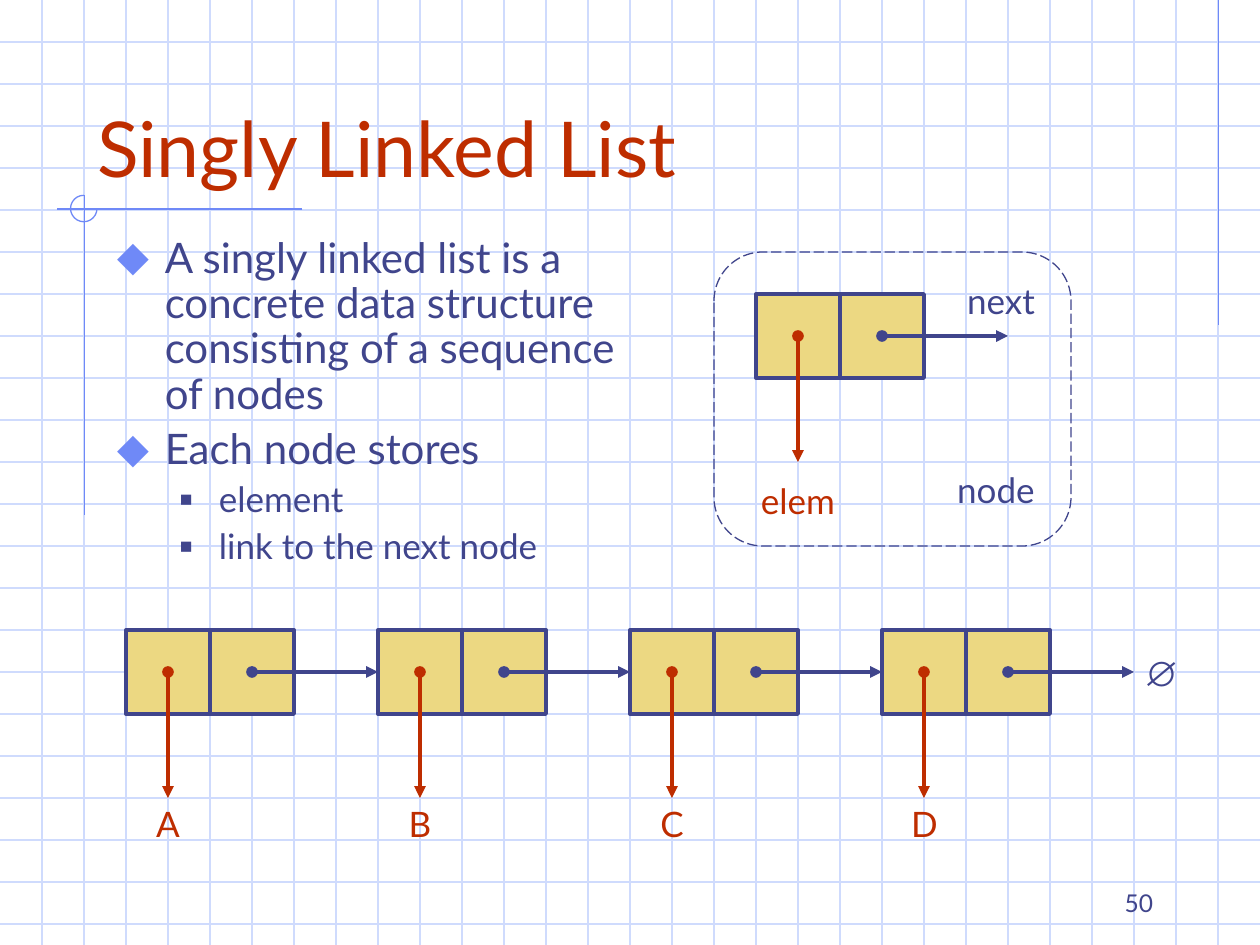
from lxml.etree import SubElement
from pptx import Presentation
from pptx.dml.color import RGBColor
from pptx.enum.dml import MSO_LINE
from pptx.enum.shapes import MSO_CONNECTOR, MSO_SHAPE
from pptx.enum.text import MSO_ANCHOR, PP_ALIGN
from pptx.oxml.ns import qn
from pptx.util import Inches, Pt

COLORS = {"grid": "CFDBFD", "accent": "6F89F7", "ink": "40458C", "red": "BE2D00", "node": "ECD882"}
RGB = {key: RGBColor.from_string(value) for key, value in COLORS.items()}
CELL = 2 / 3
HALF = CELL / 2

prs = Presentation()
prs.slide_width, prs.slide_height = Inches(10), Inches(7.5)
slide = prs.slides.add_slide(prs.slide_layouts[5])
shapes = slide.shapes


def add_line(x1, y1, x2, y2, color, width=0.75, arrow=False):
    line = shapes.add_connector(MSO_CONNECTOR.STRAIGHT, Inches(x1), Inches(y1), Inches(x2), Inches(y2))
    line.line.color.rgb = RGB[color]
    line.line.width = Pt(width)
    properties = line._element.spPr
    if arrow:
        outline = properties.get_or_add_ln()
        SubElement(outline, qn("a:headEnd"), type="oval")
        SubElement(outline, qn("a:tailEnd"), type="triangle")
    SubElement(properties, qn("a:effectLst"))
    return line


def add_label(text, left, top, width, height=0.44, color="ink", size=20, font="Lato", align=PP_ALIGN.CENTER):
    label = shapes.add_textbox(Inches(left), Inches(top), Inches(width), Inches(height))
    paragraph = label.text_frame.paragraphs[0]
    paragraph.alignment = align
    run = paragraph.add_run()
    run.text = text
    run.font.name, run.font.size, run.font.color.rgb = font, Pt(size), RGB[color]
    return label, run


for row in range(1, 23):
    add_line(0, row / 3, 10, row / 3, "grid")
for column in range(1, 30):
    add_line(column / 3, 0, column / 3, 7.5, "grid")

add_line(9.67, 0, 9.67, 2.58, "accent")
add_line(2.4, 1.66, 0.45, 1.66, "accent")
add_line(0.67, 1.55, 0.67, 4.09, "accent")
corner_arc = shapes.add_shape(MSO_SHAPE.ARC, Inches(0.56), Inches(1.55), Inches(0.21), Inches(0.21))
corner_arc.adjustments[0], corner_arc.adjustments[1] = 0, 162
corner_arc.shadow.inherit = False
corner_arc.fill.background()
corner_arc.line.color.rgb = RGB["accent"]
corner_arc.line.width = Pt(0.75)

title = shapes.title
title._element.getparent().append(title._element)
title.left, title.top, title.width, title.height = Inches(0.67), Inches(0.33), Inches(8.5), Inches(1.25)
title.text_frame.vertical_anchor = MSO_ANCHOR.BOTTOM
title_paragraph = title.text_frame.paragraphs[0]
title_paragraph.alignment = PP_ALIGN.LEFT
title_run = title_paragraph.add_run()
title_run.text = "Singly Linked List"
title_run.font.name, title_run.font.size, title_run.font.color.rgb = "Lato", Pt(44), RGB["red"]

bullet_styles = [
    {"size": 24, "before": 6, "margin": 0.38, "hang": 0.38, "char": "⬥", "color": "accent", "percent": 110},
    {"size": 20, "before": 5, "margin": 0.81, "hang": 0.31, "char": "■", "color": "ink", "percent": 60},
]
points = [
    (0, "A singly linked list is a concrete data structure consisting of a sequence of nodes"),
    (0, "Each node stores"),
    (1, "element"),
    (1, "link to the next node"),
]
body = shapes.add_textbox(Inches(0.83), Inches(1.83), Inches(4.5), Inches(2.75)).text_frame
body.word_wrap = True
for index, (level, text) in enumerate(points):
    style = bullet_styles[level]
    paragraph = body.add_paragraph() if index else body.paragraphs[0]
    paragraph.level = level
    paragraph.line_spacing = 0.9
    if index:
        paragraph.space_before = Pt(style["before"])
    properties = paragraph._p.get_or_add_pPr()
    properties.set("marL", str(Inches(style["margin"])))
    properties.set("indent", str(-Inches(style["hang"])))
    bullet_color = SubElement(properties, qn("a:buClr"))
    SubElement(bullet_color, qn("a:srgbClr"), val=COLORS[style["color"]])
    SubElement(properties, qn("a:buSzPct"), val=str(style["percent"] * 1000))
    SubElement(properties, qn("a:buFont"), typeface="Arial")
    SubElement(properties, qn("a:buChar"), char=style["char"])
    run = paragraph.add_run()
    run.text = text
    run.font.name, run.font.size, run.font.color.rgb = "Lato", Pt(style["size"]), RGB["ink"]

node_frame = shapes.add_shape(
    MSO_SHAPE.ROUNDED_RECTANGLE, Inches(17 / 3), Inches(2), Inches(17 / 6), Inches(7 / 3))
node_frame.shadow.inherit = False
node_frame.fill.background()
node_frame.line.color.rgb = RGB["ink"]
node_frame.line.width = Pt(0.75)
node_frame.line.dash_style = MSO_LINE.LONG_DASH
add_label("next", 7.56, 2.17, 0.77)
add_label("node", 7.47, 3.67, 0.87)

nodes = [("elem", 6, 7 / 3, 3.76, 0.84)]
nodes += [(letter, 1 + 2 * index, 5, 6.32, 0.4) for index, letter in enumerate("ABCD")]
next_arrow = None
for element, left, top, label_top, label_width in nodes:
    cells = []
    for cell_left in (left, left + CELL):
        cell = shapes.add_shape(MSO_SHAPE.RECTANGLE, Inches(cell_left), Inches(top), Inches(CELL), Inches(CELL))
        cell.shadow.inherit = False
        cell.fill.solid()
        cell.fill.fore_color.rgb = RGB["node"]
        cell.line.color.rgb = RGB["ink"]
        cell.line.width = Pt(2.25)
        cells.append(cell)
    if next_arrow and element != "A":
        next_arrow.end_connect(cells[0], 1)
    middle = top + HALF
    add_line(left + HALF, middle, left + HALF, middle + 1, "red", 2.25, arrow=True)
    next_arrow = add_line(left + 1, middle, left + 2, middle, "ink", 2.25, arrow=True)
    add_label(element, left + HALF - label_width / 2, label_top, label_width, color="red")

empty_set, empty_set_run = add_label("∅", 8.98, 5.12, 0.42, font="Arial")
empty_set_run.font.bold = True

page_number, page_run = add_label("50", 7.17, 6.83, 2.08, 0.5, size=14, align=PP_ALIGN.RIGHT)
page_number.text_frame.word_wrap = True
page_number.text_frame.vertical_anchor = MSO_ANCHOR.BOTTOM

prs.save("out.pptx")
